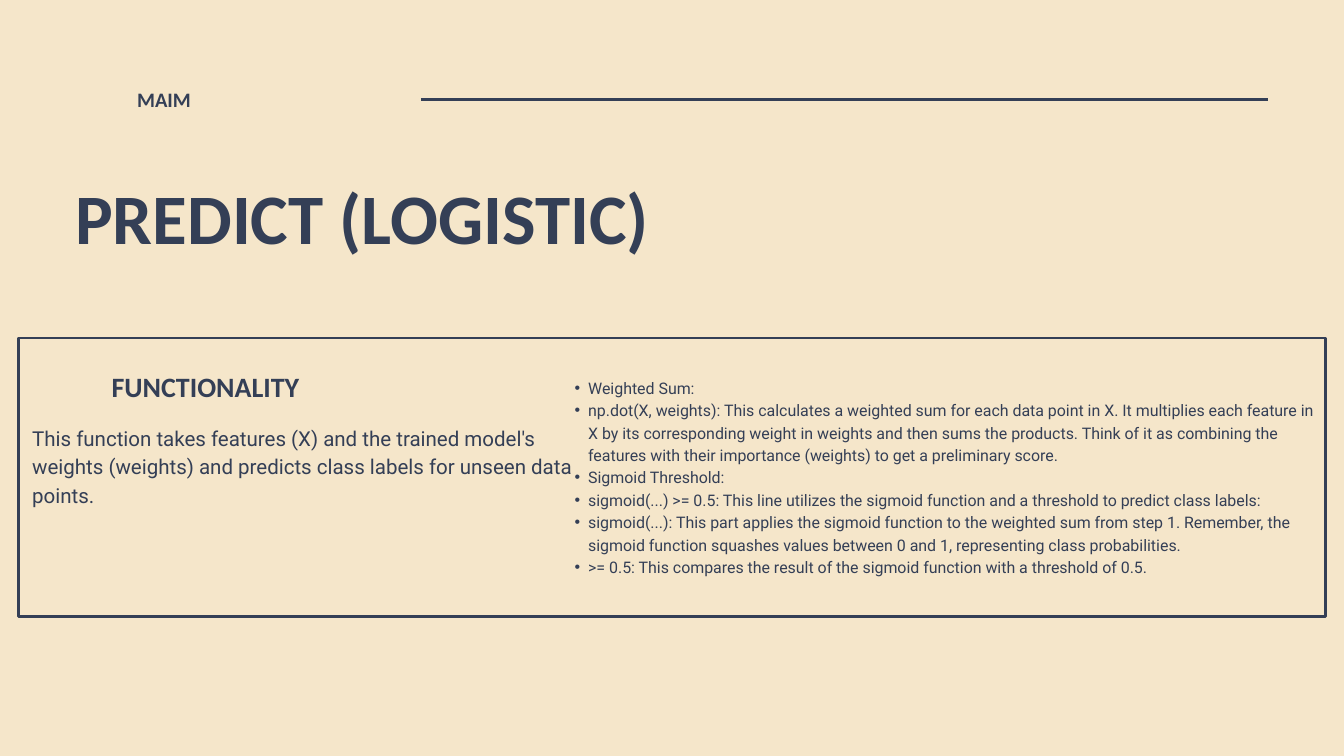
"""Build the slide that explains the logistic predict function."""
from lxml.etree import SubElement
from pptx import Presentation
from pptx.dml.color import RGBColor
from pptx.enum.shapes import MSO_CONNECTOR as Connector, MSO_SHAPE as Shape
from pptx.enum.text import MSO_ANCHOR as Anchor, MSO_AUTO_SIZE as AutoSize, PP_ALIGN as Align
from pptx.oxml.ns import qn
from pptx.util import Pt

COLORS = {"ink": "343F56", "paper": "F5E6CA"}
INK = RGBColor.from_string(COLORS["ink"])
FRAME_FORMAT = {
    "word_wrap": True, "auto_size": AutoSize.NONE, "vertical_anchor": Anchor.TOP,
    "margin_left": 0, "margin_top": 0, "margin_right": 0, "margin_bottom": 0,
}


def write(box, lines, font, size, spacing, bold=False):
    frame = box.text_frame
    for name, value in FRAME_FORMAT.items():
        setattr(frame, name, value)
    frame.text = "\n".join(lines)
    paragraph_format = {
        "alignment": Align.LEFT, "line_spacing": Pt(spacing),
        "space_before": Pt(0), "space_after": Pt(0),
    }
    font_format = {"name": font, "size": Pt(size), "bold": bold}
    for paragraph in frame.paragraphs:
        for name, value in paragraph_format.items():
            setattr(paragraph, name, value)
        for run in paragraph.runs:
            for name, value in font_format.items():
                setattr(run.font, name, value)
            run.font.color.rgb = INK


deck = Presentation()
deck.slide_width, deck.slide_height = Pt(1440), Pt(810)
slide = deck.slides.add_slide(deck.slide_layouts[1])
slide.background.fill.solid()
slide.background.fill.fore_color.rgb = RGBColor.from_string(COLORS["paper"])

title = slide.shapes.title
title.left, title.top, title.width, title.height = Pt(80.6), Pt(201.6), Pt(1339), Pt(83)
write(title, ["PREDICT (LOGISTIC)"], "Calibri", 76, 76, True)

rule = slide.shapes.add_connector(Connector.STRAIGHT, Pt(451), Pt(106.5), Pt(1359), Pt(106.5))
SubElement(rule.element.spPr, qn("a:effectLst"))

panel = slide.shapes.add_shape(Shape.RECTANGLE, Pt(19.5), Pt(362.2), Pt(1401), Pt(298))
panel.shadow.inherit = False
panel.fill.background()

for outlined in (rule, panel):
    outlined.line.color.rgb = INK
    outlined.line.width = Pt(3)

summary = (
    "This function takes features (X) and the trained model's weights (weights) "
    "and predicts class labels for unseen data points."
)
for text, left, top, width, height, font, size, spacing, bold in (
    ("MAIM", 147, 89.3, 282, 30, "Calibri", 22, 30.8, True),
    ("FUNCTIONALITY", 119.5, 389.5, 390, 42.5, "Calibri", 30, 42, True),
    (summary, 34.5, 451.5, 590.4, 91.5, "Roboto", 22, 30.8, False),
):
    box = slide.shapes.add_textbox(Pt(left), Pt(top), Pt(width), Pt(height))
    write(box, [text], font, size, spacing, bold)

steps = [
    "Weighted Sum:",
    "np.dot(X, weights): This calculates a weighted sum for each data point in X. "
    "It multiplies each feature in X by its corresponding weight in weights and then sums the products. "
    "Think of it as combining the features with their importance (weights) to get a preliminary score.",
    "Sigmoid Threshold:",
    "sigmoid(...) >= 0.5: This line utilizes the sigmoid function and a threshold to predict class labels:",
    "sigmoid(...): This part applies the sigmoid function to the weighted sum from step 1. "
    "Remember, the sigmoid function squashes values between 0 and 1, representing class probabilities.",
    ">= 0.5: This compares the result of the sigmoid function with a threshold of 0.5.",
]
details = slide.placeholders[1]
details.left, details.top, details.width, details.height = Pt(601.2), Pt(401.8), Pt(819.4), Pt(239)
write(details, steps, "Roboto", 17.1, 24)
for step in details.text_frame.paragraphs:
    properties = step._p.get_or_add_pPr()
    properties.set("marL", str(Pt(29)))
    properties.set("indent", str(Pt(-14.5)))
    SubElement(properties, qn("a:buFont"), typeface="Arial")
    SubElement(properties, qn("a:buChar"), char="•")

deck.save("out.pptx")
